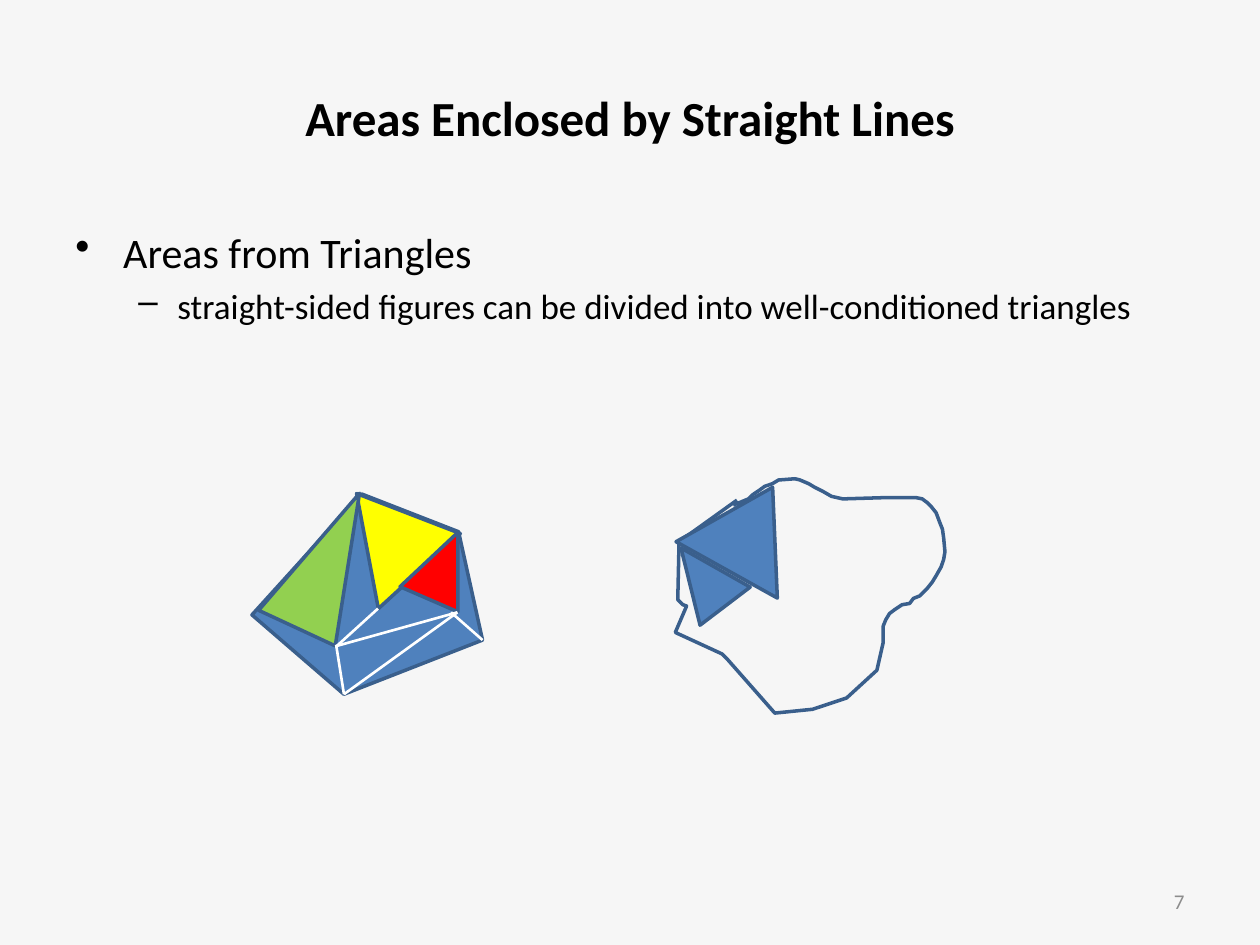
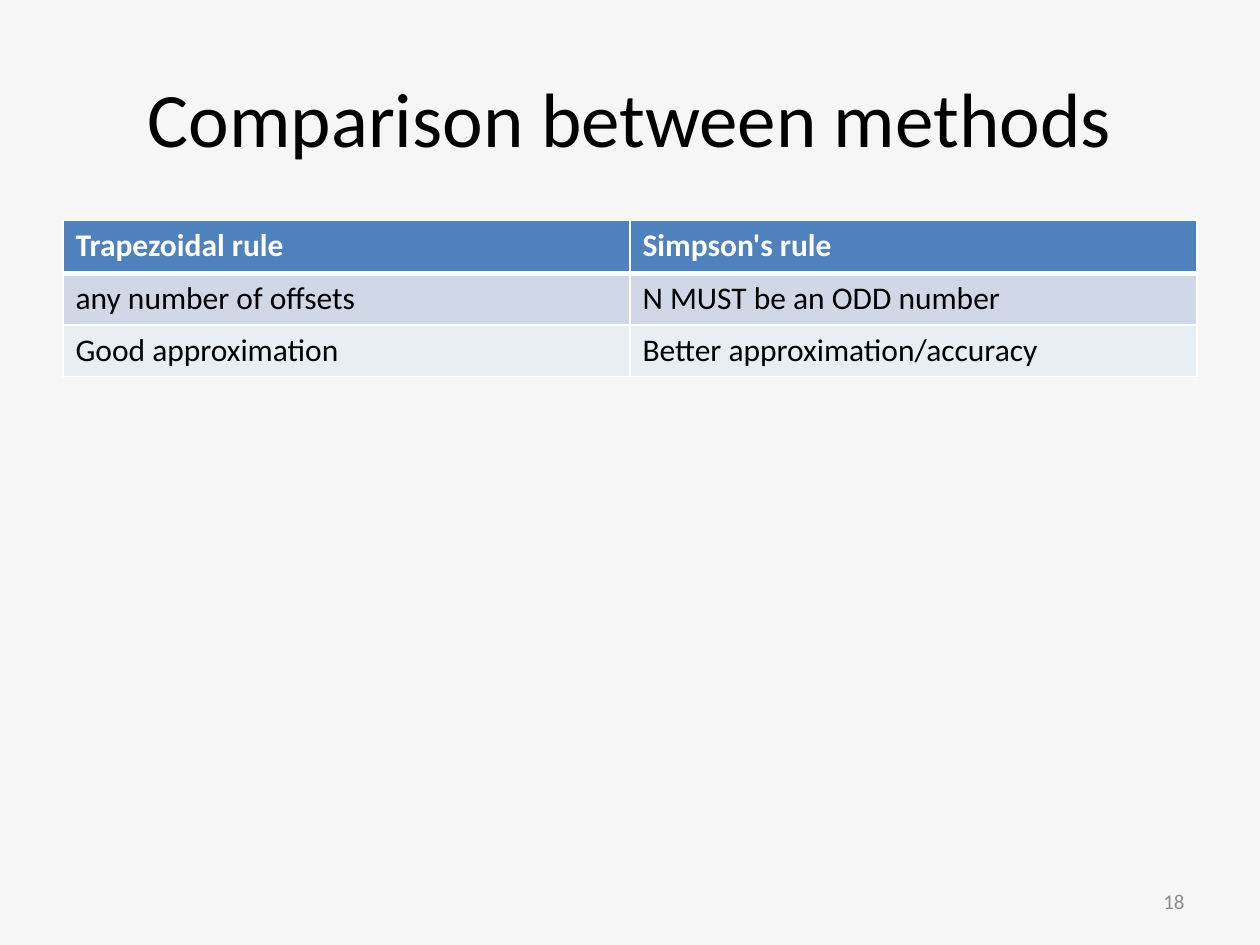
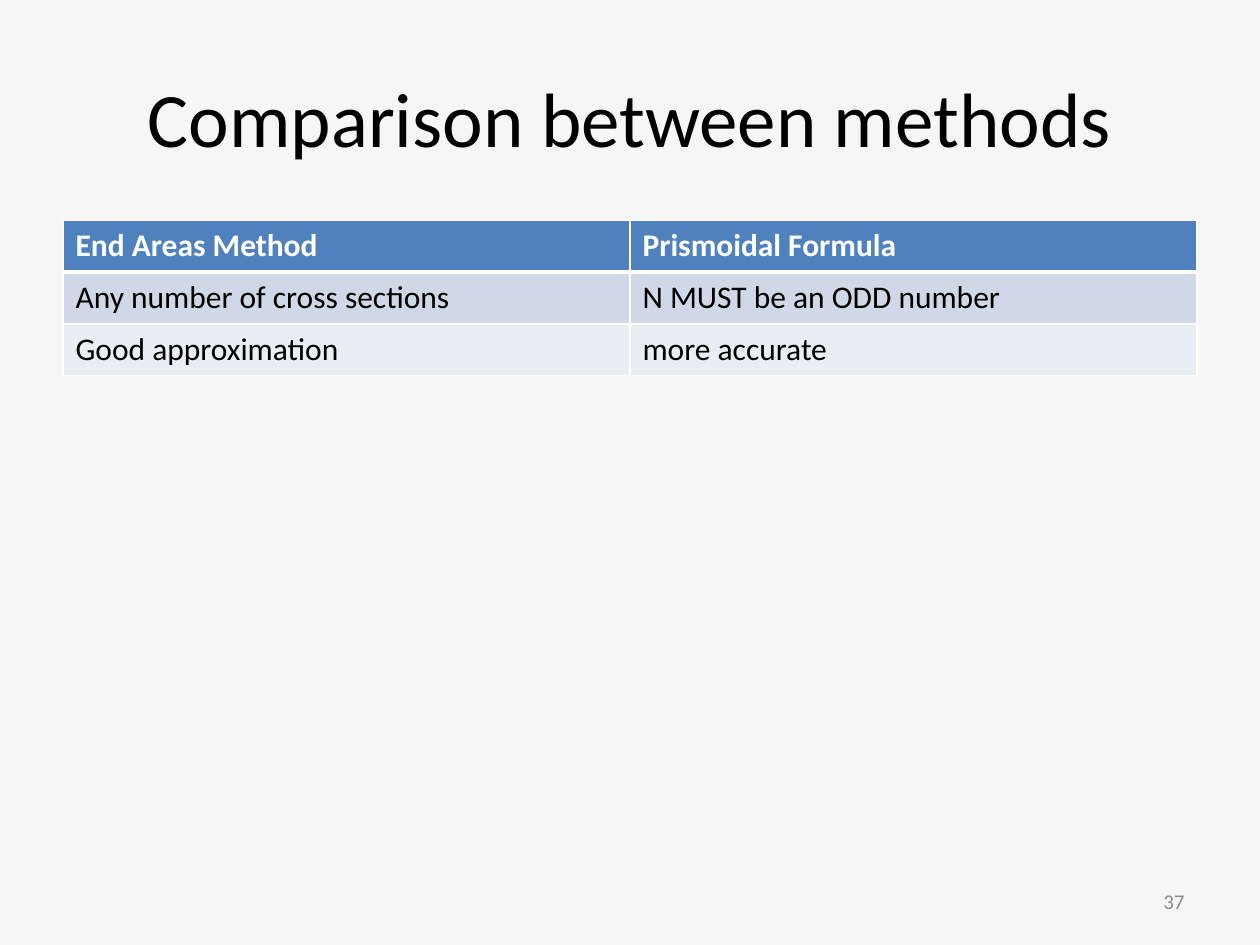
from lxml import etree
from pptx import Presentation
from pptx.dml.color import RGBColor
from pptx.enum.shapes import MSO_CONNECTOR, MSO_SHAPE
from pptx.enum.text import MSO_ANCHOR, PP_ALIGN
from pptx.oxml.ns import qn
from pptx.util import Inches, Pt

TRIANGLE = MSO_SHAPE.ISOSCELES_TRIANGLE
STRAIGHT = MSO_CONNECTOR.STRAIGHT
MIDDLE = MSO_ANCHOR.MIDDLE
LEFT, CENTER, RIGHT = PP_ALIGN.LEFT, PP_ALIGN.CENTER, PP_ALIGN.RIGHT

FONT = "Calibri"
COLORS = {
    "background": "F6F6F6", "text": "000000", "number": "8C8C8C", "white": "FFFFFF",
    "blue": "4F81BD", "outline": "3A5F8C",
    "yellow": "FFFF00", "red": "FF0000", "green": "92D050",
    "dark band": "D0D8E8", "light band": "E9EDF4",
}
RGB = {name: RGBColor.from_string(value) for name, value in COLORS.items()}


def write(paragraph, text, size, color="text", bold=False, align=LEFT):
    paragraph.alignment = align
    run = paragraph.add_run()
    run.text = text
    run.font.name = FONT
    run.font.size = Pt(size)
    run.font.bold = bold
    run.font.color.rgb = RGB[color]


def paint(shape, fill):
    """Give a figure its fill (None for an open outline) and the shared dark line."""
    shape.shadow.inherit = False
    if fill:
        shape.fill.solid()
        shape.fill.fore_color.rgb = RGB[fill]
    else:
        shape.fill.background()
    shape.line.color.rgb = RGB["outline"]
    shape.line.width = Pt(2)


prs = Presentation()
prs.slide_width, prs.slide_height = Inches(10), Inches(7.5)

# Background, title and slide number of every slide
headings = [
    ("Areas Enclosed by Straight Lines", 28, True, "7"),
    ("Comparison between methods", 44, False, "18"),
    ("Comparison between methods", 44, False, "37"),
]
for title, title_size, title_bold, number in headings:
    slide = prs.slides.add_slide(prs.slide_layouts[6])
    slide.background.fill.solid()
    slide.background.fill.fore_color.rgb = RGB["background"]
    for left, top, width, height, text, size, color, bold, align in [
        (0.5, 0.3, 9, 1.25, title, title_size, "text", title_bold, CENTER),
        (7.17, 6.95, 2.33, 0.4, number, 12, "number", False, RIGHT),
    ]:
        box = slide.shapes.add_textbox(Inches(left), Inches(top), Inches(width), Inches(height))
        box.text_frame.word_wrap = True
        box.text_frame.vertical_anchor = MIDDLE
        write(box.text_frame.paragraphs[0], text, size, color, bold, align)

areas_slide, *comparison_slides = prs.slides

# Areas from triangles: bullets
body = areas_slide.shapes.add_textbox(Inches(0.5), Inches(1.75), Inches(9), Inches(4.95)).text_frame
body.word_wrap = True
bullets = [
    ("Areas from Triangles", 24, 0, "•", 0.38, 0.38),
    ("straight-sided figures can be divided into well-conditioned triangles", 20, 1, "–", 0.81, 0.31),
]
for text, size, level, mark, margin, hanging in bullets:
    paragraph = body.add_paragraph() if level else body.paragraphs[0]
    paragraph.level = level
    properties = paragraph._p.get_or_add_pPr()
    properties.set("marL", str(Inches(margin)))
    properties.set("indent", str(-Inches(hanging)))
    etree.SubElement(properties, qn("a:buChar")).set("char", mark)
    if level:
        paragraph.space_before = Pt(size * 0.2)
    write(paragraph, text, size)

# Outlines of the straight-sided polygon and of the irregular plot
polygon = [(2.87, 3.92), (2, 4.88), (2.73, 5.51), (3.83, 5.08), (3.64, 4.22)]
plot = [
    (5.85, 3.97), (5.39, 4.3), (5.38, 4.76), (5.42, 4.8), (5.45, 4.81), (5.36, 5.02),
    (5.73, 5.19), (5.78, 5.24), (6.15, 5.66), (6.45, 5.63), (6.72, 5.54), (6.96, 5.32),
    (7.01, 5.1), (7.01, 4.97), (7.03, 4.92), (7.06, 4.87), (7.1, 4.84), (7.16, 4.8),
    (7.22, 4.79), (7.25, 4.75), (7.3, 4.73), (7.36, 4.67), (7.4, 4.62), (7.43, 4.57),
    (7.47, 4.5), (7.49, 4.44), (7.5, 4.38), (7.49, 4.27), (7.48, 4.2), (7.46, 4.15),
    (7.43, 4.07), (7.39, 4.02), (7.36, 3.99), (7.32, 3.96), (7.27, 3.95), (7.03, 3.95),
    (6.69, 3.96), (6.6, 3.94), (6.53, 3.9), (6.47, 3.87), (6.42, 3.84), (6.35, 3.81),
    (6.31, 3.8), (6.18, 3.81), (6.13, 3.84), (6.07, 3.86), (6.03, 3.89), (5.97, 3.93),
    (5.94, 3.96), (5.82, 4.01),
]
polygon_triangles = [
    (2.82, 3.93, 0.93, 0.75, 79.3, "yellow"),
    (3.27, 4.2, 0.5, 0.58, 23.5, "red"),
    (2.27, 3.86, 0.67, 1.18, 24.9, "green"),
]
plot_triangles = [
    (5.49, 3.82, 0.92, 0.75, 29.1, "blue"),
    (5.33, 4.29, 0.5, 0.58, 322.8, "blue"),
]
for outline, closed, fill, triangles in [
    (polygon, True, "blue", polygon_triangles),
    (plot, False, None, plot_triangles),
]:
    corners = [(Inches(x), Inches(y)) for x, y in outline]
    builder = areas_slide.shapes.build_freeform(*corners[0])
    builder.add_line_segments(corners[1:], close=closed)
    paint(builder.convert_to_shape(), fill)
    for left, top, width, height, rotation, color in triangles:
        triangle = areas_slide.shapes.add_shape(
            TRIANGLE, Inches(left), Inches(top), Inches(width), Inches(height))
        triangle.rotation = rotation
        paint(triangle, color)

# White lines that divide the rest of the polygon
dividers = [
    (3, 4.83, 2.67, 5.13),
    (2.67, 5.13, 2.73, 5.51),
    (3.63, 4.86, 2.73, 5.51),
    (3.58, 4.86, 3.83, 5.08),
    (2.66, 5.13, 3.63, 4.86),
]
for ends in dividers:
    divider = areas_slide.shapes.add_connector(STRAIGHT, *[Inches(value) for value in ends])
    divider.line.color.rgb = RGB["white"]
    divider.line.width = Pt(1.5)
    etree.SubElement(divider._element.spPr, qn("a:effectLst"))

# Comparison tables
comparisons = [
    (0.42, [("Trapezoidal rule", "Simpson's rule"),
            ("any number of offsets", "N MUST be an ODD number"),
            ("Good approximation", "Better approximation/accuracy")]),
    (0.41, [("End Areas Method", "Prismoidal Formula"),
            ("Any number of cross sections", "N MUST be an ODD number"),
            ("Good approximation", "more accurate")]),
]
row_fills = ["blue", "dark band", "light band"]
row_height = 0.41
for slide, (header_height, rows) in zip(comparison_slides, comparisons):
    table = slide.shapes.add_table(
        3, 2, Inches(0.5), Inches(1.75), Inches(9), Inches(header_height + 2 * row_height)).table
    for r, texts in enumerate(rows):
        table.rows[r].height = Inches(row_height if r else header_height)
        for c, text in enumerate(texts):
            cell = table.cell(r, c)
            cell_properties = cell._tc.get_or_add_tcPr()
            for side in ("lnL", "lnR", "lnT", "lnB"):
                under_header = (r, side) in [(0, "lnB"), (1, "lnT")]
                border = etree.SubElement(cell_properties, qn("a:" + side))
                border.set("w", str(Pt(3 if under_header else 1)))
                border_fill = etree.SubElement(border, qn("a:solidFill"))
                etree.SubElement(border_fill, qn("a:srgbClr")).set("val", COLORS["white"])
            cell.fill.solid()
            cell.fill.fore_color.rgb = RGB[row_fills[r]]
            write(cell.text_frame.paragraphs[0], text, 18, "text" if r else "white", r == 0)

prs.save("out.pptx")
